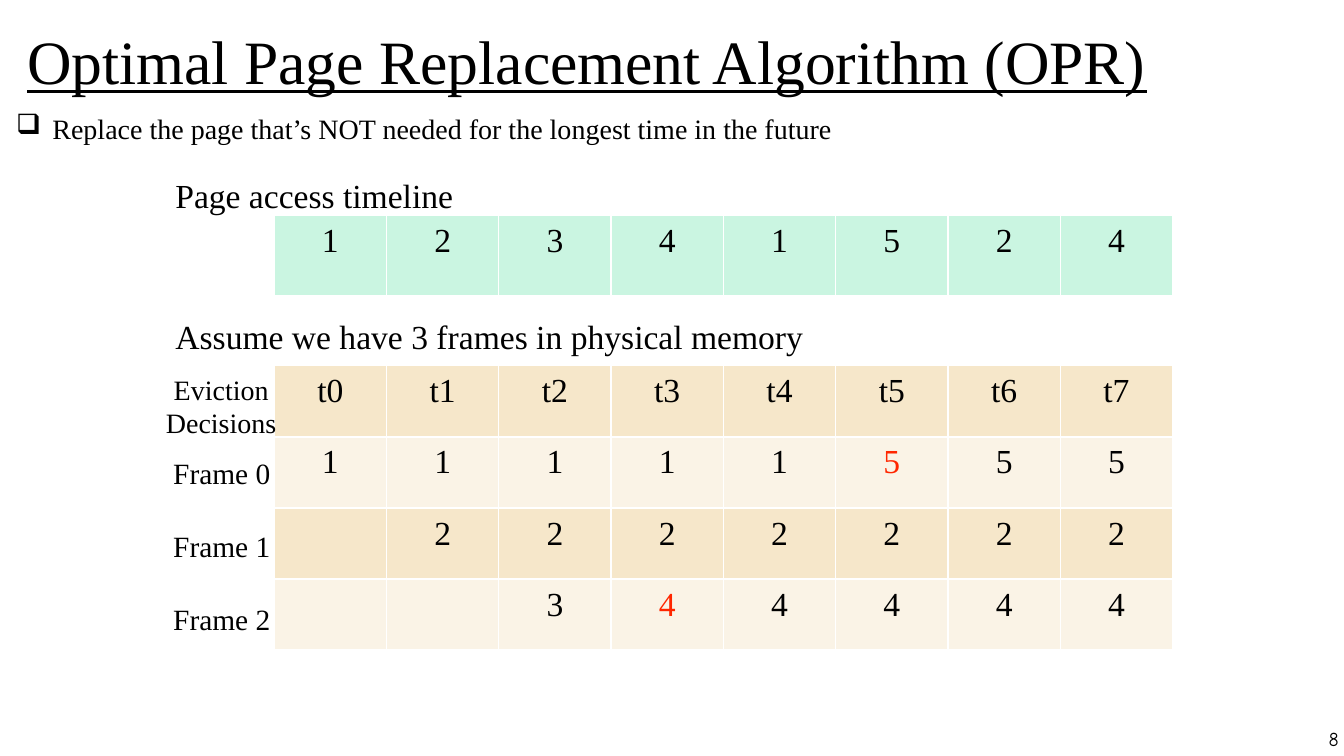
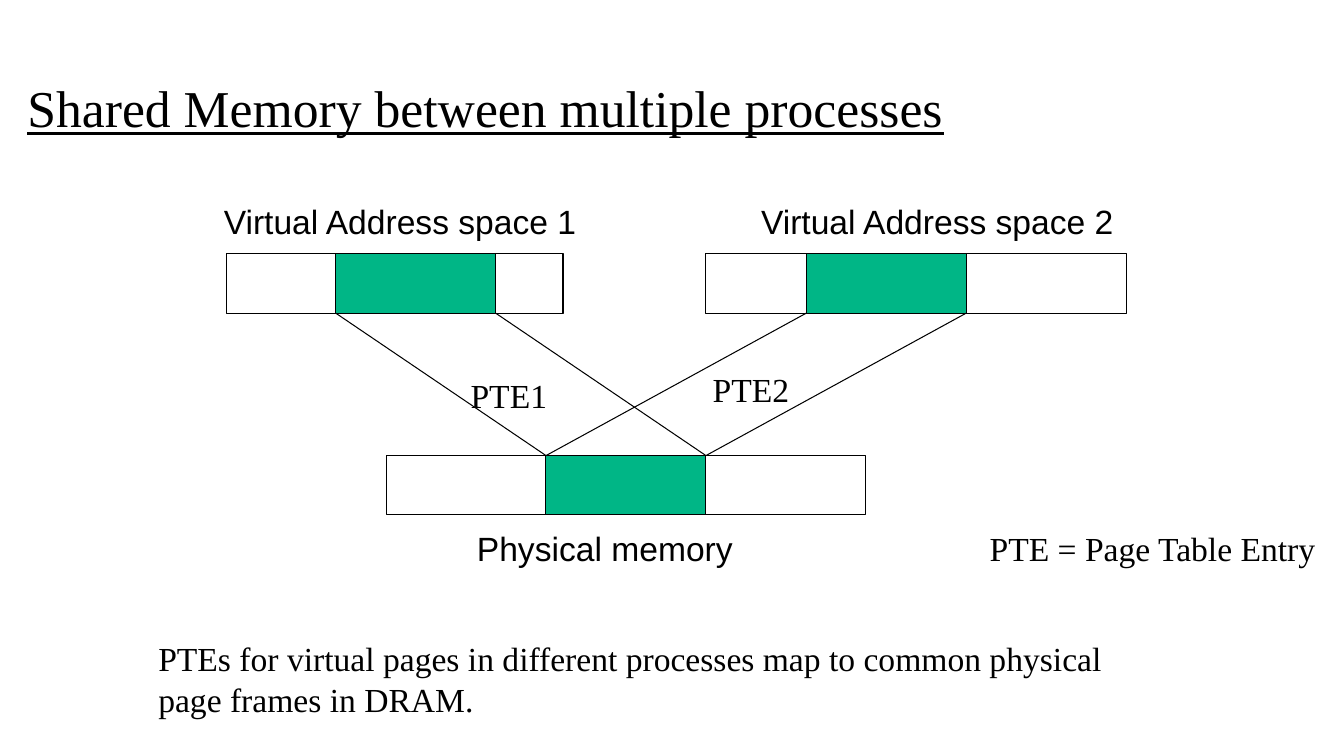
from lxml import etree
from pptx import Presentation, util as u
from pptx.dml.color import RGBColor
from pptx.enum import shapes, text
from pptx.oxml import ns

Cm = u.Cm
INK = dict(black="000000", white="FFFFFF", red="FF2600", mint="CAF5E1",
           sand="F6E7CA", cream="FAF3E6", green="00B686")
SERIF, SANS, NOTE = "Times New Roman", "Arial", "Comic Neue"
LEFT, MID, RIGHT = text.PP_ALIGN.LEFT, text.PP_ALIGN.CENTER, text.PP_ALIGN.RIGHT
TOP, LOW = text.MSO_ANCHOR.TOP, text.MSO_ANCHOR.BOTTOM


def hue(name):
    return RGBColor.from_string(INK[name])


def sub(node, tag, **attrs):
    return etree.SubElement(node, ns.qn(tag), **attrs)


class Deck:
    """Holds the style and the current slide."""

    def __init__(self):
        self.prs = Presentation()
        self.prs.slide_width, self.prs.slide_height = Cm(33.87), Cm(19.05)
        self.slide = None

    def start(self, title, high, size):
        self.slide = self.prs.slides.add_slide(self.prs.slide_layouts[5])
        head = self.slide.shapes.title
        head.left, head.top, head.width, head.height = Cm(0.56), 0, Cm(33.3), Cm(high)
        self.frame(head.text_frame, anchor=LOW, wrap=True)
        run = self.say(head.text_frame.paragraphs[0], title, size)
        run.font.underline = True

    def frame(self, tf, anchor=TOP, wrap=False, pad=0.13):
        tf.auto_size = text.MSO_AUTO_SIZE.NONE
        tf.word_wrap, tf.vertical_anchor = wrap, anchor
        tf.margin_left = tf.margin_right = Cm(pad)
        tf.margin_top = tf.margin_bottom = Cm(0.13)

    def say(self, para, words, size=24, font=SERIF, color="black", align=LEFT):
        para.alignment = align
        run = para.add_run()
        run.text = words
        run.font.size, run.font.name = u.Pt(size), font
        run.font.color.rgb = hue(color)
        return run

    def label(self, x, y, w, h, *lines, anchor=TOP, wrap=False, pad=0.13, **style):
        box = self.slide.shapes.add_textbox(Cm(x), Cm(y), Cm(w), Cm(h))
        tf = box.text_frame
        self.frame(tf, anchor, wrap, pad)
        for i, line in enumerate(lines):
            para = tf.add_paragraph() if i else tf.paragraphs[0]
            self.say(para, line, **style)
        return tf

    def bullet(self, x, y, w, h, words, size):
        para = self.label(x, y, w, h, wrap=True).paragraphs[0]
        props = para._p.get_or_add_pPr()
        props.set("marL", str(Cm(0.91)))
        props.set("indent", str(-Cm(0.91)))
        sub(sub(props, "a:buClr"), "a:srgbClr", val=INK["black"])
        sub(props, "a:buChar", char="❑")
        para.line_spacing = 0.8
        self.say(para, words, size)

    def grid(self, x, y, wide, high, rows, fills):
        """Draws a table; a star after a value marks it red."""
        cols = len(rows[0])
        table = self.slide.shapes.add_table(
            len(rows), cols, Cm(x), Cm(y), Cm(wide * cols), Cm(high * len(rows))).table
        table.first_row = table.horz_banding = False
        for col in table.columns:
            col.width = Cm(wide)
        for r, row in enumerate(rows):
            table.rows[r].height = Cm(high)
            for c, value in enumerate(row):
                cell = table.cell(r, c)
                self.edge(cell)
                cell.fill.solid()
                cell.fill.fore_color.rgb = hue(fills[r % len(fills)])
                cell.margin_left = cell.margin_right = Cm(0.18)
                cell.margin_top = cell.margin_bottom = Cm(0.18)
                if value:
                    self.say(cell.text_frame.paragraphs[0], value.rstrip("*"), align=MID,
                             color="red" if value.endswith("*") else "black")

    def edge(self, cell):
        props = cell._tc.get_or_add_tcPr()
        for side in ("a:lnL", "a:lnR", "a:lnT", "a:lnB"):
            line = sub(props, side, w=str(u.Pt(1)))
            sub(sub(line, "a:solidFill"), "a:srgbClr", val=INK["white"])

    def bar(self, x, y, high, widths):
        """Draws three joined blocks, the middle one shared; returns its edges."""
        for i, wide in enumerate(widths):
            block = self.slide.shapes.add_shape(
                shapes.MSO_SHAPE.RECTANGLE, Cm(x), Cm(y), Cm(wide), Cm(high))
            block.shadow.inherit = False
            block.line.color.rgb, block.line.width = hue("black"), u.Pt(0.75)
            if i == 1:
                block.fill.solid()
                block.fill.fore_color.rgb = hue("green")
                edges = x, x + wide
            else:
                block.fill.background()
            x += wide
        return edges

    def line(self, x1, y1, x2, y2):
        link = self.slide.shapes.add_connector(
            shapes.MSO_CONNECTOR.STRAIGHT, Cm(x1), Cm(y1), Cm(x2), Cm(y2))
        link.line.color.rgb, link.line.width = hue("black"), u.Pt(0.75)
        sub(link._element.spPr, "a:effectLst")


def paging(deck):
    deck.start("Optimal Page Replacement Algorithm (OPR)", 2.57, 44)
    deck.label(26.82, 18.19, 7.05, 0.86, "8", anchor=LOW, wrap=True,
               size=14, font=NOTE, align=RIGHT)
    deck.bullet(0.28, 2.84, 33.3, 1.2,
                "Replace the page that’s NOT needed for the longest time in the future", 20)

    # Page accesses
    left, wide = 6.91, 2.83
    deck.label(4.29, 4.29, 7.32, 1.27, "Page access timeline")
    deck.grid(left, 5.44, wide, 2, ["12341524"], ["mint"])

    # Frames over time
    deck.label(4.29, 7.82, 16.23, 1.27, "Assume we have 3 frames in physical memory")
    rows = [[f"t{i}" for i in range(8)],
            "1 1 1 1 1 5* 5 5".split(),
            [""] + ["2"] * 7,
            ["", "", "3", "4*"] + ["4"] * 4]
    deck.grid(left, 9.22, wide, 1.79, rows, ["sand", "cream"])
    deck.label(4.04, 9.25, 3.07, 1.96, "Eviction", "Decisions", size=20, align=MID)
    for i in range(3):
        deck.label(4.22, 11.35 + 1.84 * i, 2.74, 1.14, f"Frame {i}", size=21, align=MID)


def sharing(deck):
    deck.start("Shared Memory between multiple processes", 3.61, 36.9)

    # Memory bars
    page, high, top, base = 4.03, 1.49, 6.4, 11.48
    frame = deck.bar(9.73, base, high, [page] * 3)
    spaces = [deck.bar(5.72, top, high, [2.74, page, 1.7]),
              deck.bar(17.78, top, high, [2.54, page, page])]

    # Mappings from each space to the shared frame
    for space in spaces:
        for near, far in zip(space, frame):
            deck.line(near, top + high, far, base)

    # Labels
    for x, y, w, name in [(5.51, 4.93, 9.3, "Virtual Address space 1"),
                          (19.05, 4.93, 9.3, "Virtual Address space 2"),
                          (11.89, 13.18, 6.78, "Physical memory")]:
        deck.label(x, y, w, 1.27, name, font=SANS)
    deck.label(11.73, 9.32, 2.21, 1.27, "PTE1")
    deck.label(17.83, 9.17, 2.21, 1.27, "PTE2")
    deck.label(24.69, 13.18, 8.86, 1.27, "PTE = Page Table Entry", pad=0.25)
    deck.label(3.86, 15.95, 24.49, 2.31,
               "PTEs for virtual pages in different processes map to common physical",
               "page frames in DRAM.")


def main():
    deck = Deck()
    paging(deck)
    sharing(deck)
    deck.prs.save("out.pptx")


if __name__ == "__main__":
    main()
